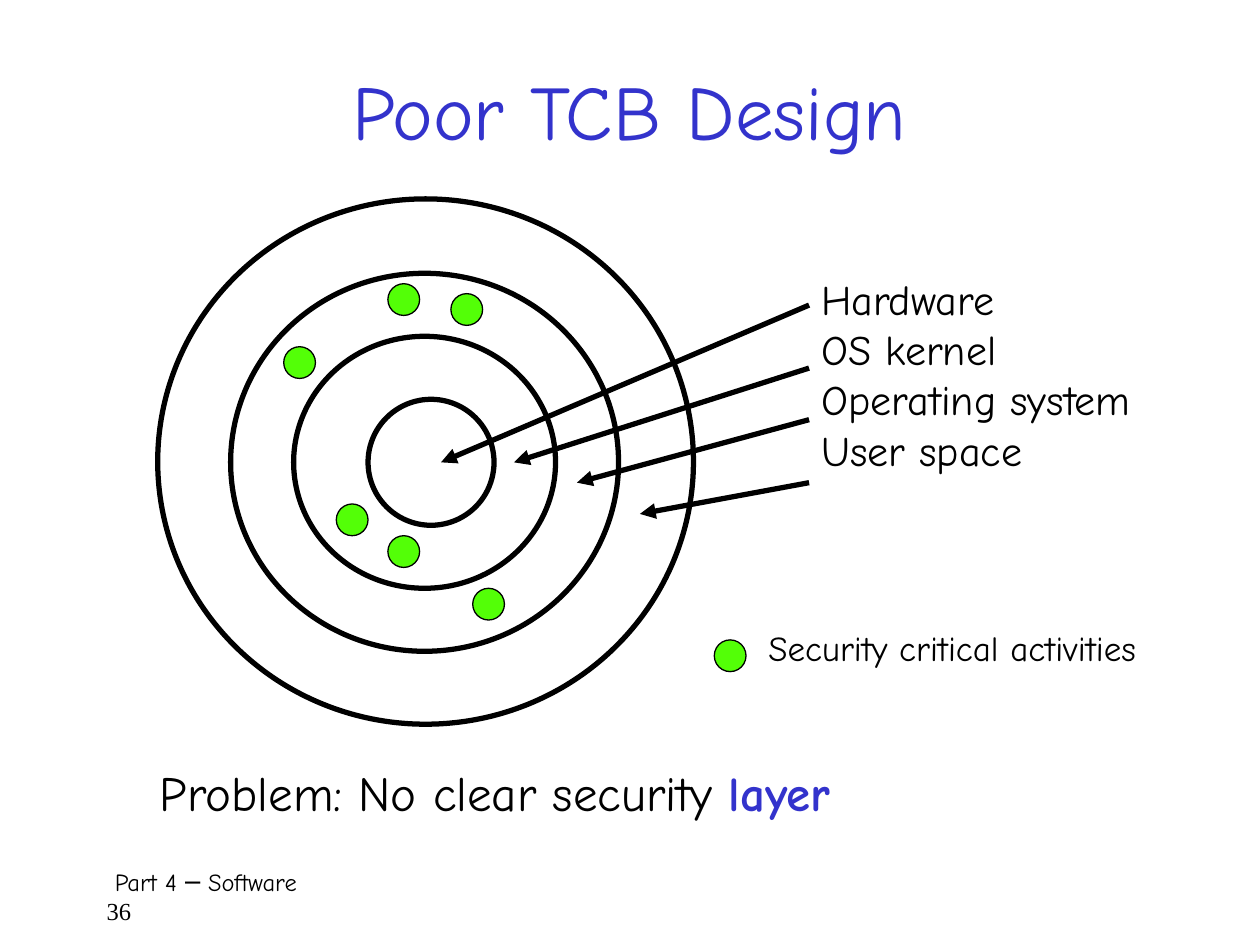
from lxml.etree import SubElement
from pptx import Presentation
from pptx.dml.color import RGBColor
from pptx.enum.shapes import MSO_CONNECTOR as Connector, MSO_SHAPE as Shape
from pptx.enum.text import MSO_ANCHOR as Anchor, PP_ALIGN as Align
from pptx.oxml.ns import qn
from pptx.util import Cm, Pt

COLORS = {"ink": "000000", "accent": "3333CC", "activity": "53FF07"}
FONT = "Comic Neue"
NUMBER_FONT = "Times New Roman"
DOT_SIZE = 0.64
LABEL_LEFT = 16.31


def color(name):
    return RGBColor.from_string(COLORS[name])


def add_run(paragraph, text, size=24, font=FONT, ink="ink", bold=False):
    run = paragraph.add_run()
    run.text = text
    run.font.size = Pt(size)
    run.font.name = font
    run.font.bold = bold
    run.font.color.rgb = color(ink)


class SlideBuilder:
    def __init__(self, slide, ring_width=3, dot_width=0.75):
        self.slide = slide
        self.ring_width = ring_width
        self.dot_width = dot_width

    def text(self, box, paragraphs, align=Align.LEFT, anchor=Anchor.TOP):
        frame = self.slide.shapes.add_textbox(*map(Cm, box)).text_frame
        frame.word_wrap = True
        frame.vertical_anchor = anchor
        for index, runs in enumerate(paragraphs):
            paragraph = frame.add_paragraph() if index else frame.paragraphs[0]
            paragraph.alignment = align
            for text, style in runs:
                add_run(paragraph, text, **style)

    def ellipse(self, box, width):
        shape = self.slide.shapes.add_shape(Shape.OVAL, *map(Cm, box))
        shape.shadow.inherit = False
        shape.line.color.rgb = color("ink")
        shape.line.width = Pt(width)
        return shape

    def ring(self, box):
        self.ellipse(box, self.ring_width).fill.background()

    def dot(self, left, top):
        shape = self.ellipse((left, top, DOT_SIZE, DOT_SIZE), self.dot_width)
        shape.fill.solid()
        shape.fill.fore_color.rgb = color("activity")

    def arrow(self, start, end):
        connector = self.slide.shapes.add_connector(
            Connector.STRAIGHT, *map(Cm, (*start, *end)))
        connector.line.color.rgb = color("ink")
        connector.line.width = Pt(self.ring_width)
        line = connector.line._get_or_add_ln()
        SubElement(line, qn("a:tailEnd"), type="triangle")
        SubElement(connector._element.spPr, qn("a:effectLst"))


def main():
    presentation = Presentation()
    presentation.slide_width = Cm(25.4)
    presentation.slide_height = Cm(19.05)
    slide = presentation.slides.add_slide(presentation.slide_layouts[6])
    builder = SlideBuilder(slide)

    builder.text((1.9, 17.35, 21.79, 1.27), [
        [(" Part 4 ─ Software", {"size": 14})],
        [("36", {"size": 14, "font": NUMBER_FONT})],
    ])
    builder.text((1.9, 0.84, 21.59, 2.74),
                 [[("Poor TCB Design", {"size": 44, "ink": "accent"})]],
                 align=Align.CENTER, anchor=Anchor.MIDDLE)

    rings = [(7.42, 8.05, 2.54, 2.54), (5.92, 6.78, 5.28, 5.08),
             (4.65, 5.51, 7.82, 7.62), (3.18, 4.01, 10.8, 10.59)]
    for box in rings:
        builder.ring(box)

    layers = ["Hardware", "OS kernel", "Operating system", "User space"]
    builder.text((LABEL_LEFT, 5.38, 7.52, 4.98),
                 [[(layer, {})] for layer in layers])
    arrows = [(6.15, (8.89, 9.32)), (7.42, (10.36, 9.32)),
              (8.46, (11.63, 9.73)), (9.73, (12.9, 10.36))]
    for start_top, end in arrows:
        builder.arrow((LABEL_LEFT, start_top), end)

    legend_dot = (14.4, 12.9)
    activities = [(9.09, 5.92), (6.78, 10.16), (5.72, 6.99),
                  (7.82, 5.72), (9.53, 11.86), (7.82, 10.8)]
    for position in [legend_dot, *activities]:
        builder.dot(*position)
    builder.text((15.24, 12.5, 9.17, 1.24),
                 [[("Security critical activities", {"size": 20})]])

    builder.text((2.97, 15.24, 15.44, 1.63), [[
        ("Problem: No clear security ", {"size": 28}),
        ("layer", {"size": 28, "ink": "accent", "bold": True}),
    ]])
    presentation.save("out.pptx")


if __name__ == "__main__":
    main()
